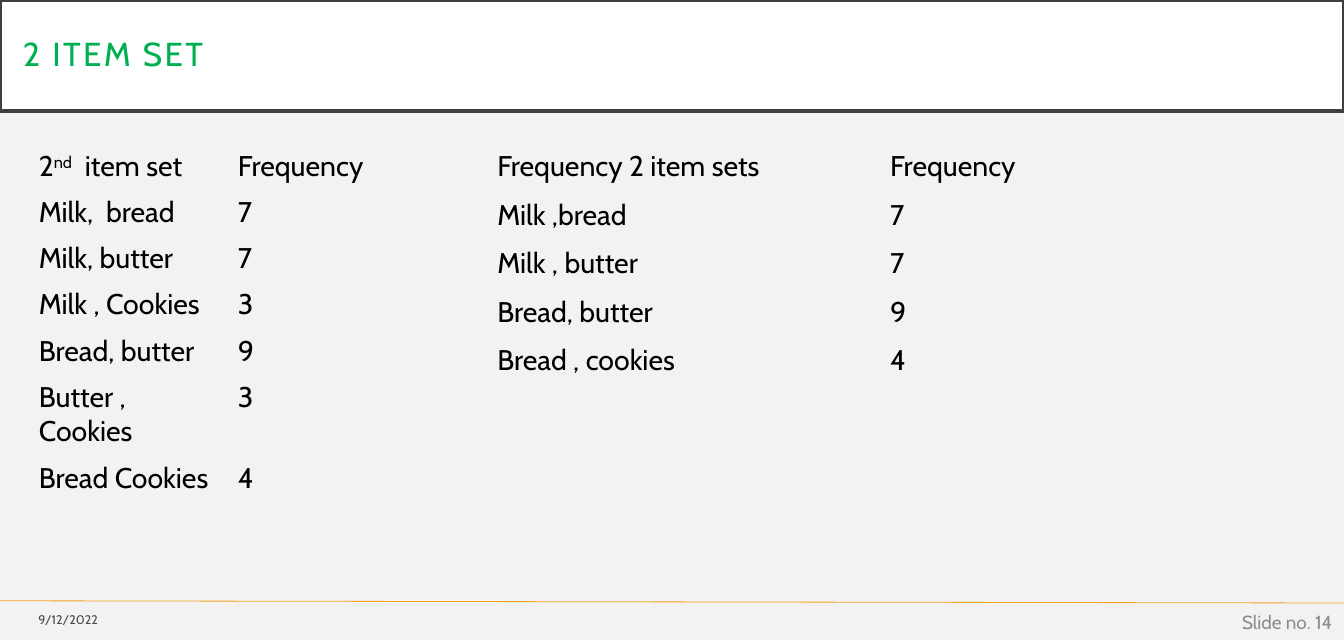
import pptx
import pptx.dml.color
import pptx.enum.shapes
import pptx.enum.text
import pptx.oxml.ns
import pptx.util
from lxml import etree

Pt = pptx.util.Pt
ALIGN = pptx.enum.text.PP_ALIGN
MIDDLE = pptx.enum.text.MSO_ANCHOR.MIDDLE
FONT = "Cabin"
PLAIN_TABLE_STYLE = "{2D5ABB26-0587-4C30-8999-92F81FD0307C}"
SLIDE_WIDTH, SLIDE_HEIGHT = 850.5, 405

ITEM_SETS = [
    ("Milk,  bread", "7"),
    ("Milk, butter", "7"),
    ("Milk , Cookies", "3"),
    ("Bread, butter", "9"),
    ("Butter , Cookies", "3"),
    ("Bread Cookies", "4"),
]
FREQUENT_ITEM_SETS = [
    ("Frequency 2 item sets", "Frequency"),
    ("Milk ,bread", "7"),
    ("Milk , butter", "7"),
    ("Bread, butter", "9"),
    ("Bread , cookies", "4"),
]


def color(hex_string):
    return pptx.dml.color.RGBColor.from_string(hex_string)


def add_run(paragraph, text, size, hex_color="000000", **attributes):
    """Add a run; attributes such as baseline or spc go to its properties."""
    run = paragraph.add_run()
    run.text = text
    run.font.name = FONT
    run.font.size = Pt(size)
    run.font.color.rgb = color(hex_color)
    for name, value in attributes.items():
        run.font._element.set(name, str(value))


def place(shape, left, top, width, height):
    shape.left, shape.top = Pt(left), Pt(top)
    shape.width, shape.height = Pt(width), Pt(height)


def format_title(title, text):
    place(title, 0, 0, SLIDE_WIDTH, 70.2)
    title.fill.solid()
    title.fill.fore_color.rgb = color("FFFFFF")
    title.line.color.rgb = color("404040")
    title.line.width = Pt(2.5)
    frame = title.text_frame
    frame.vertical_anchor = MIDDLE
    frame.margin_left = frame.margin_right = Pt(14.4)
    frame.margin_top = frame.margin_bottom = Pt(14.4)
    paragraph = frame.paragraphs[0]
    paragraph.alignment = ALIGN.LEFT
    paragraph.line_spacing = 0.9
    add_run(paragraph, text, 21, "00B050", spc=150)


def add_plain_table(slide, rows, left, top, column_width, row_height):
    """Add a table without grid; a cell is a string or a list of (text, baseline)."""
    columns = len(rows[0])
    frame = slide.shapes.add_table(
        len(rows), columns, Pt(left), Pt(top),
        Pt(column_width * columns), Pt(row_height * len(rows)))
    table = frame.table
    table.first_row = table.horz_banding = False
    style = table._tbl.tblPr.find(pptx.oxml.ns.qn("a:tableStyleId"))
    style.text = PLAIN_TABLE_STYLE
    for row_index, row in enumerate(rows):
        for column_index, content in enumerate(row):
            cell = table.cell(row_index, column_index)
            cell.fill.background()
            paragraph = cell.text_frame.paragraphs[0]
            parts = [(content, 0)] if isinstance(content, str) else content
            for text, baseline in parts:
                add_run(paragraph, text, 18, baseline=baseline)


def add_footer_text(slide, text, left, top, width, height, size, hex_color):
    box = slide.shapes.add_textbox(Pt(left), Pt(top), Pt(width), Pt(height))
    frame = box.text_frame
    frame.word_wrap = True
    frame.vertical_anchor = MIDDLE
    paragraph = frame.paragraphs[0]
    paragraph.alignment = ALIGN.RIGHT
    add_run(paragraph, text, size, hex_color)


def add_footer_line(slide):
    line = slide.shapes.add_connector(
        pptx.enum.shapes.MSO_CONNECTOR.STRAIGHT,
        Pt(0), Pt(380.2), Pt(SLIDE_WIDTH), Pt(381.6))
    line.line.color.rgb = color("F6A21D")
    line.line.width = Pt(0.5)
    etree.SubElement(line._element.spPr, pptx.oxml.ns.qn("a:effectLst"))


def main():
    presentation = pptx.Presentation()
    presentation.slide_width = Pt(SLIDE_WIDTH)
    presentation.slide_height = Pt(SLIDE_HEIGHT)
    slide = presentation.slides.add_slide(presentation.slide_layouts[5])
    slide.background.fill.solid()
    slide.background.fill.fore_color.rgb = color("F2F2F2")

    add_footer_line(slide)
    format_title(slide.shapes.title, "2 ITEM SET")
    heading = ([("2", 0), ("nd", 30000), ("  item set", 0)], "Frequency")
    add_plain_table(slide, [heading] + ITEM_SETS, 17.4, 90.7, 126, 27.7)
    add_plain_table(slide, FREQUENT_ITEM_SETS, 307.5, 90.7, 248.6, 30.75)
    add_footer_text(slide, "9/12/2022", 0, 382.3, 69.1, 19.4, 7.9, "484848")
    add_footer_text(slide, "Slide no. 14", 658.8, 383, 191.5, 21.6, 12, "8C8C8C")
    presentation.save("out.pptx")


if __name__ == "__main__":
    main()
